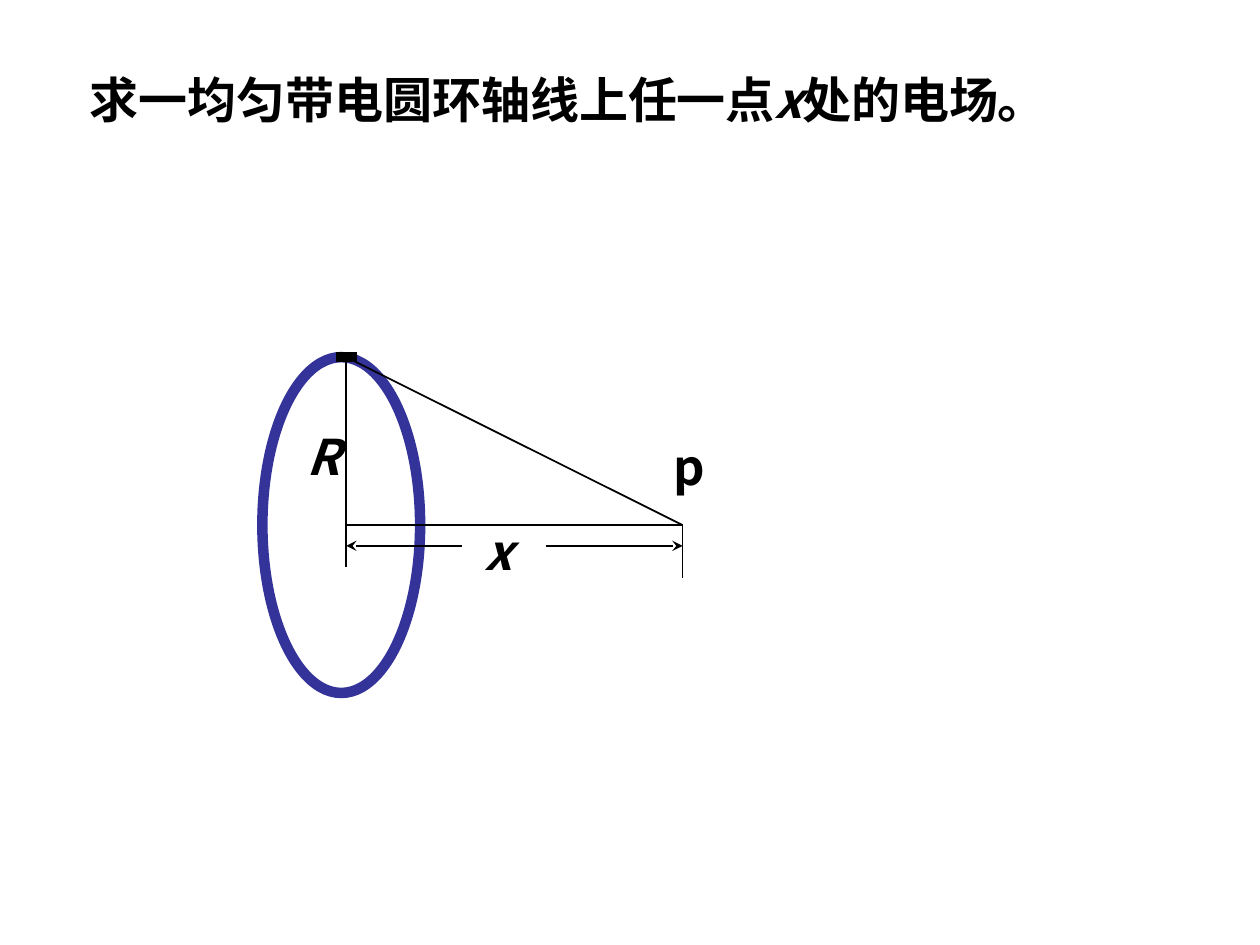
import collections

import pptx
import pptx.dml.color
import pptx.enum.shapes
import pptx.enum.text
import pptx.oxml.ns
import pptx.util
from lxml import etree

Cm = pptx.util.Cm
Pt = pptx.util.Pt
BLACK = pptx.dml.color.RGBColor(0, 0, 0)
RING_BLUE = pptx.dml.color.RGBColor(0x33, 0x33, 0x99)
FONT = "Noto Sans CJK SC"
Box = collections.namedtuple("Box", "left top width height")


def add_element(parent, tag, **attributes):
    """Append a DrawingML element to its parent."""
    return etree.SubElement(parent, pptx.oxml.ns.qn(tag), **attributes)


def format_span(span, italic=False):
    """Give a run the bold black type of the slide."""
    span.font.name = FONT
    span.font.size = Pt(28)
    span.font.bold = True
    span.font.italic = italic
    span.font.color.rgb = BLACK
    add_element(span.font._element, "a:ea", typeface=FONT)


def set_frame(frame, wrap):
    """Set the insets, anchor and wrapping of a text frame."""
    frame.margin_left = frame.margin_right = Cm(0.25)
    frame.margin_top = frame.margin_bottom = Cm(0.13)
    frame.vertical_anchor = pptx.enum.text.MSO_ANCHOR.TOP
    frame.auto_size = pptx.enum.text.MSO_AUTO_SIZE.SHAPE_TO_FIT_TEXT
    frame.word_wrap = wrap


def add_problem(page, box):
    """Place the problem statement in the title placeholder."""
    title = page.shapes.title
    title.left, title.top, title.width, title.height = map(Cm, box)
    set_frame(title.text_frame, True)
    para = title.text_frame.paragraphs[0]
    para.alignment = pptx.enum.text.PP_ALIGN.LEFT
    para._p.get_or_add_pPr().set("indent", str(Cm(1.13)))
    for text, italic in (
        ("求一均匀带电圆环轴线上任一点", False),
        ("x", True),
        ("处的电场。", False),
    ):
        span = para.add_run()
        span.text = text
        format_span(span, italic)


def add_line(page, box, start, end, weight=1, arrow=False):
    """Draw a black line between two points of the box."""
    line = page.shapes.add_connector(
        pptx.enum.shapes.MSO_CONNECTOR.STRAIGHT,
        Cm(box.left + start[0]),
        Cm(box.top + start[1]),
        Cm(box.left + end[0]),
        Cm(box.top + end[1]),
    )
    line.line.color.rgb = BLACK
    line.line.width = Pt(weight)
    if arrow:
        add_element(line.line._get_or_add_ln(), "a:tailEnd", type="stealth")
    add_element(line._element.spPr, "a:effectLst")


def add_label(page, box, text, left, top, italic=True, wrap=False):
    """Write a one-letter label at a point of the box."""
    label = page.shapes.add_textbox(
        Cm(box.left + left), Cm(box.top + top), Cm(1.05), Cm(1.45)
    )
    set_frame(label.text_frame, wrap)
    label.text_frame.text = text
    format_span(label.text_frame.paragraphs[0].runs[0], italic)


def add_ring_diagram(page, box):
    """Draw the charged ring, its axis, the field point and the dimensions."""
    ring = page.shapes.add_shape(
        pptx.enum.shapes.MSO_SHAPE.OVAL,
        Cm(box.left), Cm(box.top), Cm(3.18), Cm(box.height),
    )
    ring.shadow.inherit = False
    ring.fill.background()
    ring.line.color.rgb = RING_BLUE
    ring.line.width = Pt(6)

    center_x, axis_y = 1.69, box.height / 2
    point_x, dimension_y = box.width, axis_y + 0.42
    charge = (center_x, 0)
    center = (center_x, axis_y)
    point = (point_x, axis_y)

    add_line(page, box, center, point)
    add_line(page, box, (center_x - 0.21, 0), (center_x + 0.21, 0), weight=6)
    add_line(page, box, charge, point)
    add_line(page, box, charge, (center_x, axis_y + 0.21))
    add_label(page, box, "x", 4.23, axis_y - 0.21)
    add_label(page, box, "p", 8.04, 1.48, italic=False, wrap=True)
    add_label(page, box, "R", 0.64, 1.27)
    add_line(page, box, (center_x, axis_y - 0.21), (center_x, axis_y + 0.85))
    add_line(page, box, point, (point_x, axis_y + 1.06))
    for start_x, end_x in ((4.02, center_x), (5.71, point_x)):
        add_line(page, box, (start_x, dimension_y), (end_x, dimension_y), arrow=True)


def main():
    """Build and save the slide."""
    deck = pptx.Presentation()
    deck.slide_width, deck.slide_height = Cm(25.4), Cm(19.05)
    page = deck.slides.add_slide(deck.slide_layouts.get_by_name("Title Only"))
    add_problem(page, Box(0.43, 1.27, 24.56, 1.45))
    add_ring_diagram(page, Box(5.29, 7.2, 8.47, 6.77))
    deck.save("out.pptx")


if __name__ == "__main__":
    main()
